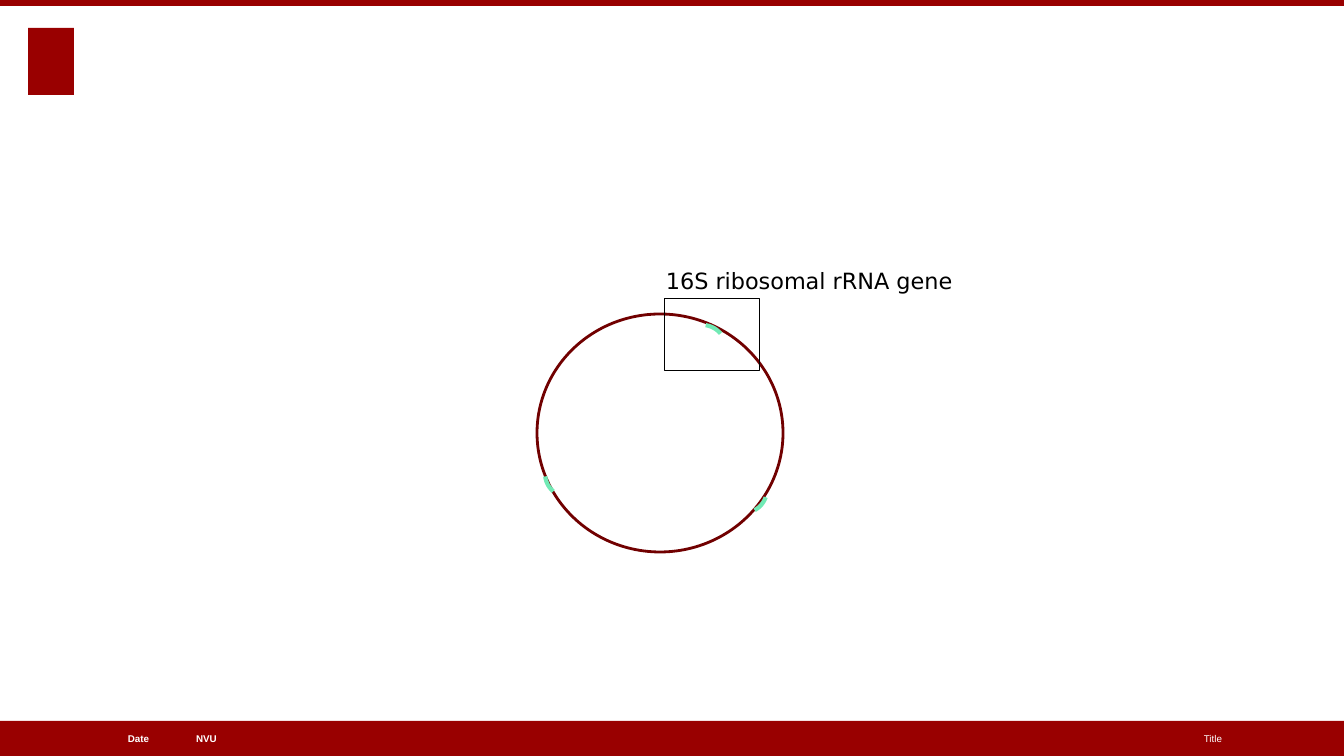
from pptx import Presentation
from pptx.dml.color import RGBColor
from pptx.enum.shapes import MSO_SHAPE
from pptx.enum.text import MSO_ANCHOR, PP_ALIGN
from pptx.util import Emu, Pt

SCALE = 12192000 / 1344
RED = "990000"
FOOT = {"name": "Arial", "size": Pt(7)}
BOLD = {**FOOT, "bold": True}
GENE = {"name": "DejaVu Sans", "size": Pt(16)}
FLAT = {"margin_left": 0, "margin_right": 0, "margin_top": 0,
        "margin_bottom": 0, "vertical_anchor": MSO_ANCHOR.MIDDLE,
        "word_wrap": True}
LOOSE = {"word_wrap": False}


def px(*sizes):
    """Turn pixel lengths into EMU."""
    return [Emu(round(size * SCALE)) for size in sizes]


def color(code):
    """Turn a hex string into a colour."""
    return RGBColor.from_string(code)


def apply(target, values):
    """Set each attribute that the dict holds."""
    for name, value in values.items():
        setattr(target, name, value)


def add_form(slide, kind, box, fill=None, line=None, width=1):
    """Add a preset shape with a plain fill and outline."""
    form = slide.shapes.add_shape(kind, *px(*box))
    form.shadow.inherit = False
    if fill:
        form.fill.solid()
        form.fill.fore_color.rgb = color(fill)
    else:
        form.fill.background()
    if line:
        form.line.color.rgb = color(line)
        form.line.width = Pt(width)
    else:
        form.line.fill.background()
    return form


def add_gene(slide, left, top, turn):
    """Add a short green arc that marks a gene on the ring."""
    gene = add_form(slide, MSO_SHAPE.ARC, (left, top, 47, 47),
                    line="71EAB5", width=3)
    gene.adjustments[0] = 176.08
    gene.adjustments[1] = 201.49
    gene.rotation = turn


def add_label(slide, text, box, font, frame, ink, align=PP_ALIGN.LEFT):
    """Add one line of text."""
    label = slide.shapes.add_textbox(*px(*box)).text_frame
    apply(label, frame)
    line = label.paragraphs[0]
    line.alignment = align
    run = line.add_run()
    run.text = text
    apply(run.font, font)
    run.font.color.rgb = color(ink)


def main():
    """Build the slide and save it."""
    deck = Presentation()
    deck.slide_width, deck.slide_height = px(1344, 756)
    slide = deck.slides.add_slide(deck.slide_layouts[6])

    for box in ((28, 28, 46, 67), (0, 721, 1344, 35), (0, 0, 1344, 6)):
        add_form(slide, MSO_SHAPE.RECTANGLE, box, RED)
    for text, left, width, font, align in (
            ("NVU", 196, 375, BOLD, PP_ALIGN.LEFT),
            ("Date", 27, 122, BOLD, PP_ALIGN.RIGHT),
            ("Title", 616, 606, FOOT, PP_ALIGN.RIGHT)):
        add_label(slide, text, (left, 721, width, 35), font, FLAT,
                  "FFFFFF", align)

    add_form(slide, MSO_SHAPE.OVAL, (537, 314, 246, 238),
             "FFFFFF", "710000", 2)
    add_form(slide, MSO_SHAPE.RECTANGLE, (664, 298, 95, 72),
             line="000000", width=0.25)
    add_label(slide, "16S ribosomal rRNA gene", (656, 262, 313, 37),
              GENE, LOOSE, "000000")
    for left, top, turn in ((720, 466, 86), (679, 325, 344.7),
                            (545, 450, 197.2)):
        add_gene(slide, left, top, turn)

    deck.save("out.pptx")


if __name__ == "__main__":
    main()
